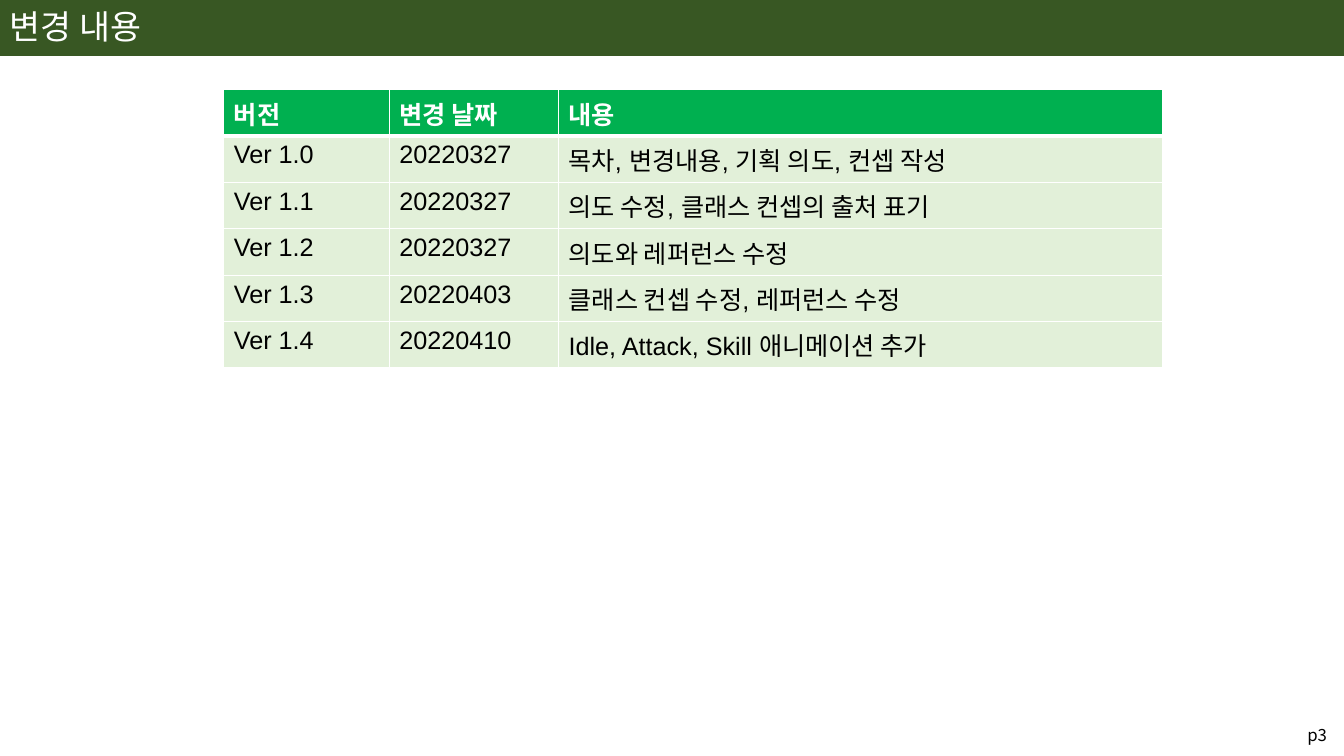
from lxml import etree
from pptx import Presentation
from pptx.dml.color import RGBColor
from pptx.enum.shapes import MSO_SHAPE
from pptx.enum.text import MSO_ANCHOR, PP_ALIGN
from pptx.oxml.ns import qn
from pptx.util import Inches, Pt

RECTANGLE = MSO_SHAPE.RECTANGLE
MIDDLE = MSO_ANCHOR.MIDDLE
LEFT, RIGHT = PP_ALIGN.LEFT, PP_ALIGN.RIGHT

DARK_GREEN, GREEN, PALE_GREEN = "385723", "00B050", "E2F0D9"
WHITE, BLACK = "FFFFFF", "000000"
BODY_FONT, PAGE_FONT = "Arial", "Noto Sans CJK KR"

COLUMN_WIDTHS = (1.64, 1.68, 5.99)
ROW_HEIGHT = 0.46
CHANGES = (
    ("버전", "변경 날짜", "내용"),
    ("Ver 1.0", "20220327", "목차, 변경내용, 기획 의도, 컨셉 작성"),
    ("Ver 1.1", "20220327", "의도 수정, 클래스 컨셉의 출처 표기"),
    ("Ver 1.2", "20220327", "의도와 레퍼런스 수정"),
    ("Ver 1.3", "20220403", "클래스 컨셉 수정, 레퍼런스 수정"),
    ("Ver 1.4", "20220410", "Idle, Attack, Skill 애니메이션 추가"),
)


def color(hex_string):
    """Turn a hex string into a colour."""
    return RGBColor.from_string(hex_string)


def add_run(paragraph, text, size, ink, font=BODY_FONT, bold=False):
    """Add one formatted run to a paragraph."""
    run = paragraph.add_run()
    run.text = text
    run.font.name = font
    run.font.size = Pt(size)
    run.font.bold = bold
    run.font.color.rgb = color(ink)


def add_banner(slide, width, height):
    """Draw the band behind the title."""
    banner = slide.shapes.add_shape(RECTANGLE, 0, 0, Inches(width), Inches(height))
    banner.shadow.inherit = False
    banner.fill.solid()
    banner.fill.fore_color.rgb = color(DARK_GREEN)
    banner.line.color.rgb = color(DARK_GREEN)
    banner.line.width = Pt(1)


def add_label(slide, place, text, size, ink, font, align):
    """Add a one-line text box centred vertically."""
    frame = slide.shapes.add_textbox(*map(Inches, place)).text_frame
    frame.word_wrap = True
    frame.vertical_anchor = MIDDLE
    paragraph = frame.paragraphs[0]
    paragraph.alignment = align
    paragraph.line_spacing = 0.9
    add_run(paragraph, text, size, ink, font)


def set_borders(cell, top, bottom):
    """Give a cell white borders, before its fill is set."""
    properties = cell._tc.get_or_add_tcPr()
    for side, points in (("L", 1), ("R", 1), ("T", top), ("B", bottom)):
        border = etree.SubElement(properties, qn(f"a:ln{side}"), w=str(Pt(points)))
        fill = etree.SubElement(border, qn("a:solidFill"))
        etree.SubElement(fill, qn("a:srgbClr"), val=WHITE)


def add_change_table(slide, left, top):
    """Add the version history table."""
    table = slide.shapes.add_table(
        len(CHANGES), len(COLUMN_WIDTHS), Inches(left), Inches(top),
        Inches(sum(COLUMN_WIDTHS)), Inches(ROW_HEIGHT * len(CHANGES))).table
    for column, width in zip(table.columns, COLUMN_WIDTHS):
        column.width = Inches(width)
    for index, (row, texts) in enumerate(zip(table.rows, CHANGES)):
        row.height = Inches(ROW_HEIGHT)
        is_header = index == 0
        for cell, text in zip(row.cells, texts):
            set_borders(cell, 3 if index == 1 else 1, 3 if is_header else 1)
            cell.fill.solid()
            cell.fill.fore_color.rgb = color(GREEN if is_header else PALE_GREEN)
            add_run(cell.text_frame.paragraphs[0], text, 18,
                    WHITE if is_header else BLACK, bold=is_header)


def main():
    """Build the change history slide."""
    deck = Presentation()
    deck.slide_width, deck.slide_height = Inches(13.33), Inches(7.5)
    slide = deck.slides.add_slide(deck.slide_layouts[6])
    add_banner(slide, 13.33, 0.55)
    add_label(slide, (12.33, 7.1, 0.93, 0.4), "p3", 12, BLACK, PAGE_FONT, RIGHT)
    add_label(slide, (0, 0, 5.91, 0.57), "변경 내용", 24, WHITE, BODY_FONT, LEFT)
    add_change_table(slide, 2.22, 0.89)
    deck.save("out.pptx")


if __name__ == "__main__":
    main()
